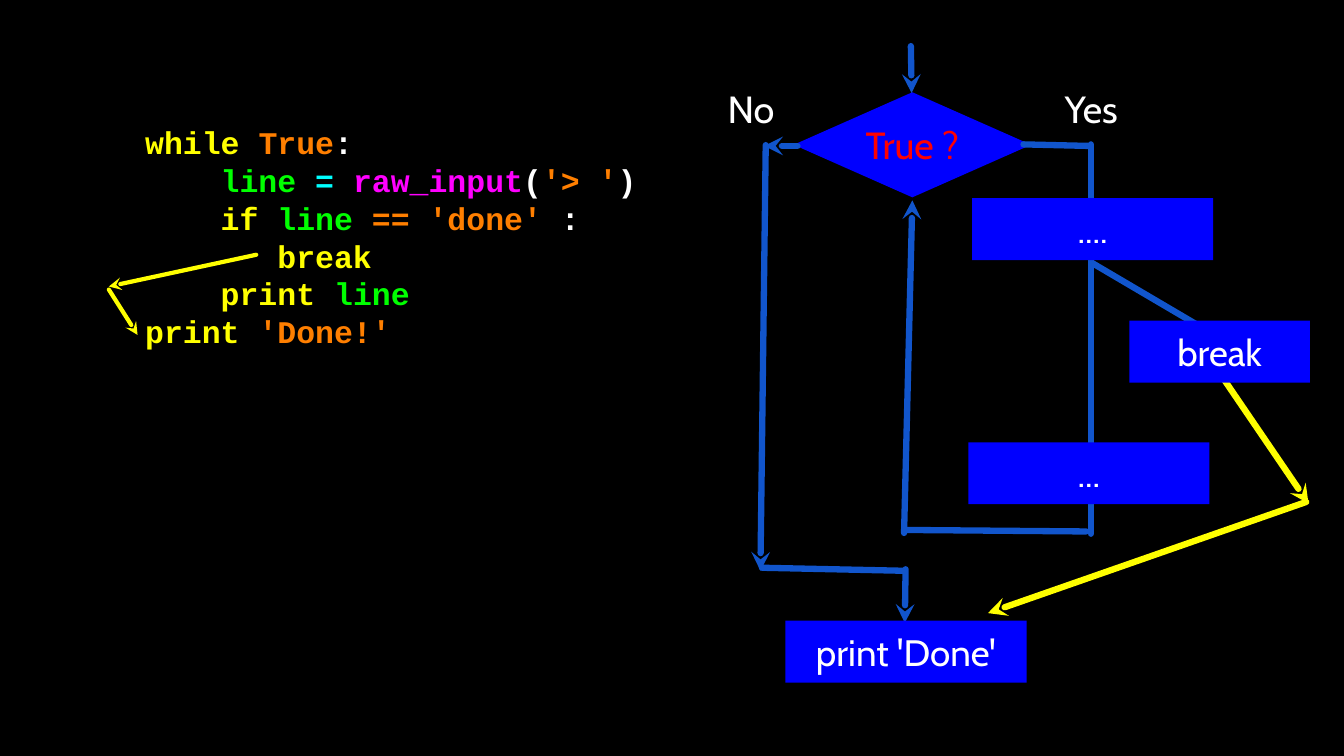
from lxml import etree
from pptx import Presentation
from pptx.dml.color import RGBColor
from pptx.enum.shapes import MSO_CONNECTOR, MSO_SHAPE
from pptx.enum.text import MSO_ANCHOR, PP_ALIGN
from pptx.oxml.ns import qn
from pptx.util import Inches, Pt

STRAIGHT = MSO_CONNECTOR.STRAIGHT
DIAMOND, RECTANGLE = MSO_SHAPE.DIAMOND, MSO_SHAPE.RECTANGLE
MIDDLE = MSO_ANCHOR.MIDDLE
LEFT, CENTER = PP_ALIGN.LEFT, PP_ALIGN.CENTER

THEME = {
    "background": "000000", "box": "0000FF", "flow": "1155CC", "exit": "FFFF00",
    "keyword": "FFFF00", "literal": "FF7F00", "variable": "00FF00",
    "assign": "00FFFF", "function": "FF00FF", "plain": "FFFFFF", "question": "FF0000",
    "code_type": {"name": "Courier New", "size": Pt(30), "bold": True},
    "label_type": {"name": "Cabin", "size": Pt(36)},
    "box_type": {"name": "Cabin", "size": Pt(35)},
}

# Each code line: indent in characters, then (text, role) pieces
CODE = [
    (0, [("while ", "keyword"), ("True", "literal"), (":", "plain")]),
    (4, [("line ", "variable"), ("= ", "assign"), ("raw_input", "function"),
         ("(", "plain"), ("'> '", "literal"), (")", "plain")]),
    (4, [("if ", "keyword"), ("line ", "variable"), ("== 'done' ", "literal"),
         (":", "plain")]),
    (7, [("break", "keyword")]),
    (4, [("print ", "keyword"), ("line", "variable")]),
    (0, [("print ", "keyword"), ("'Done!'", "literal")]),
]
CODE_AREA = (1.92, 1.31, 7.17, 3.64)
CHARACTER_WIDTH = 0.25  # 0.6 of the 30 pt code size

DECISION = ("True ?", (10.5, 1.22, 3.14, 1.39))
BRANCHES = [("No", 9.54), ("Yes", 14.04)]
BRANCH_TOP, BRANCH_SIZE = 1.1, (0.79, 0.68)
STEPS = [  # text, left, top, width
    ("print 'Done'", 10.39, 8.21, 3.19),
    ("....", 12.86, 2.62, 3.19),
    ("...", 12.81, 5.85, 3.19),
    ("break", 14.94, 4.24, 2.39),
]
STEP_HEIGHT = 0.82

# Start, end, whether an arrowhead sits at the end
FLOW = [
    ((12.05, 0.61), (12.06, 1.23), True),    # entry
    ((13.54, 1.91), (14.39, 1.93), False),   # yes branch
    ((14.43, 1.91), (14.43, 7.06), False),
    ((14.37, 7.03), (11.98, 7.01), False),   # back to the test
    ((11.96, 7.05), (12.07, 2.65), True),
    ((10.55, 1.93), (10.11, 1.93), True),    # no branch
    ((10.13, 1.92), (10.06, 7.55), True),
    ((10.08, 7.51), (11.96, 7.55), False),
    ((11.98, 7.53), (11.97, 8.24), True),
    ((14.45, 3.48), (15.98, 4.38), False),   # to break
]
LOOP_EXIT = [((16.2, 5.03), (17.31, 6.66), True), ((17.28, 6.64), (13.07, 8.11), True)]
CODE_EXIT = [((3.39, 3.37), (1.44, 3.79), True), ((1.44, 3.83), (1.82, 4.43), True)]
ROUTES = [(FLOW, "flow", 6), (LOOP_EXIT, "exit", 6), (CODE_EXIT, "exit", 4)]


def color(role):
    return RGBColor.from_string(THEME[role])


def inches(values):
    return [Inches(value) for value in values]


def write(holder, lines, type_style, alignment):
    frame = holder.text_frame
    frame_format = {"word_wrap": True, "vertical_anchor": MIDDLE, "margin_left": 0,
                    "margin_right": 0, "margin_top": 0, "margin_bottom": 0}
    for name, value in frame_format.items():
        setattr(frame, name, value)
    for number, (indent, pieces) in enumerate(lines):
        paragraph = frame.add_paragraph() if number else frame.paragraphs[0]
        paragraph.alignment = alignment
        if indent:
            properties = paragraph._p.get_or_add_pPr()
            properties.set("marL", str(Inches(indent * CHARACTER_WIDTH)))
            properties.set("indent", "0")
        for text, role in pieces:
            run = paragraph.add_run()
            run.text = text
            for name, value in THEME[type_style].items():
                setattr(run.font, name, value)
            run.font.color.rgb = color(role)


def add_box(slide, preset, area, text, type_style, role):
    box = slide.shapes.add_shape(preset, *inches(area))
    box.shadow.inherit = False
    box.fill.solid()
    box.fill.fore_color.rgb = color("box")
    box.line.fill.background()
    write(box, [(0, [(text, role)])], type_style, CENTER)


def add_text(slide, area, lines, type_style, alignment):
    write(slide.shapes.add_textbox(*inches(area)), lines, type_style, alignment)


def add_route(slide, start, end, has_arrow, role, width):
    route = slide.shapes.add_connector(STRAIGHT, *inches(start + end))
    route.line.color.rgb = color(role)
    route.line.width = Pt(width)
    outline = route.line._get_or_add_ln()
    outline.set("cap", "rnd")
    etree.SubElement(outline, qn("a:round"))
    if has_arrow:
        etree.SubElement(outline, qn("a:tailEnd"), type="stealth")
    etree.SubElement(route._element.spPr, qn("a:effectLst"))


def main():
    presentation = Presentation()
    presentation.slide_width, presentation.slide_height = inches((17.78, 10))
    slide = presentation.slides.add_slide(presentation.slide_layouts[6])
    slide.background.fill.solid()
    slide.background.fill.fore_color.rgb = color("background")

    question, area = DECISION
    add_box(slide, DIAMOND, area, question, "label_type", "question")
    for routes, role, width in ROUTES:
        for start, end, has_arrow in routes:
            add_route(slide, start, end, has_arrow, role, width)
    for text, left, top, width in STEPS:
        add_box(slide, RECTANGLE, (left, top, width, STEP_HEIGHT), text,
                "box_type", "plain")
    for answer, left in BRANCHES:
        add_text(slide, (left, BRANCH_TOP, *BRANCH_SIZE), [(0, [(answer, "plain")])],
                 "label_type", CENTER)
    add_text(slide, CODE_AREA, CODE, "code_type", LEFT)

    presentation.save("out.pptx")


if __name__ == "__main__":
    main()
